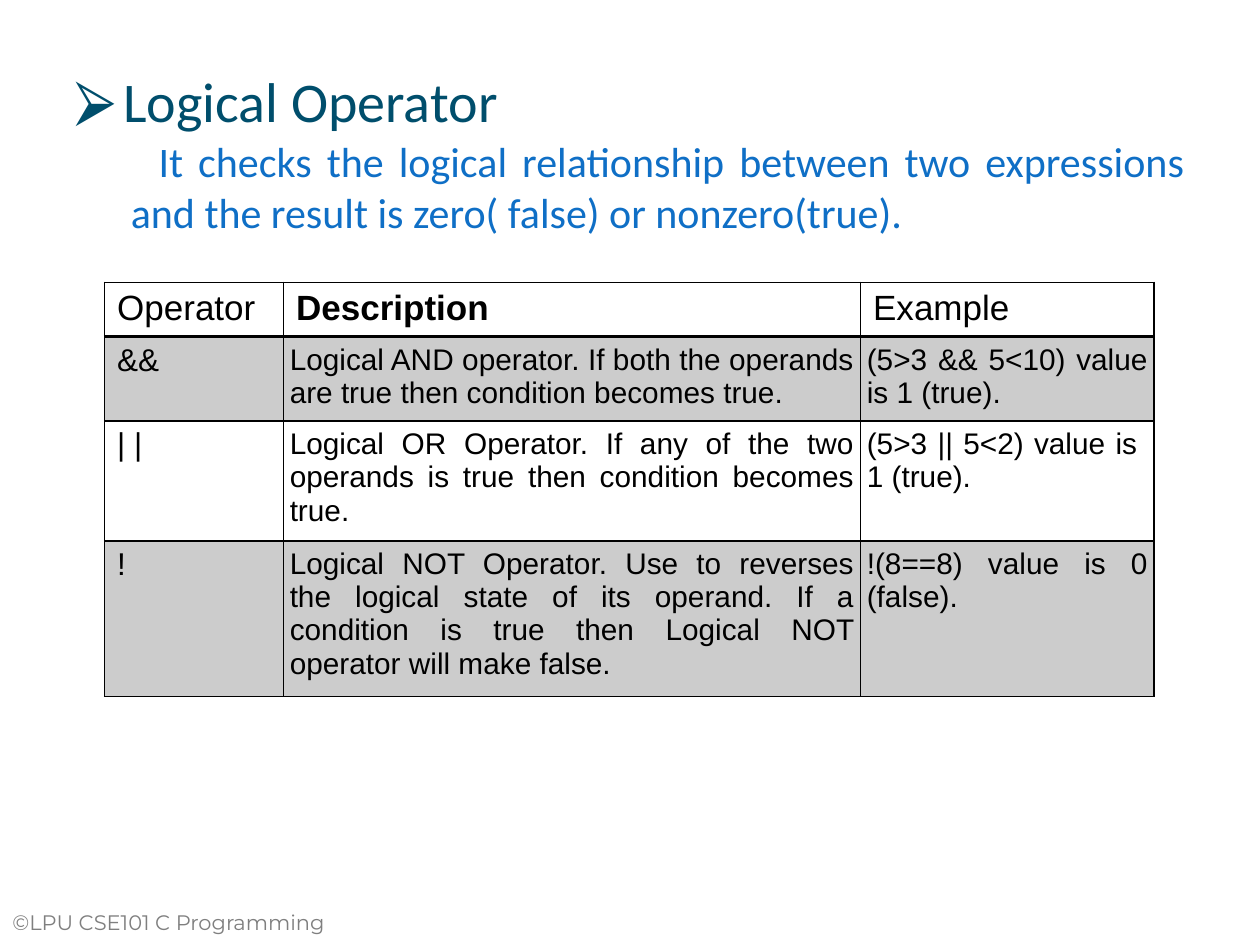
"""Build the slide on logical operators in C with its table of operators."""
from lxml.etree import SubElement
from pptx import Presentation
from pptx.dml.color import RGBColor
from pptx.enum.text import MSO_ANCHOR, MSO_AUTO_SIZE, PP_ALIGN
from pptx.oxml.ns import qn
from pptx.util import Inches, Pt

COLORS = {"title": "004E6C", "body": "0F6FC6", "footer": "7F7F7F", "black": "000000"}


def write(tf, text, size, color="black", font="Arial", bold=False, align=PP_ALIGN.JUSTIFY):
    tf.word_wrap = True
    p = tf.paragraphs[0]
    p.alignment = align
    r = p.add_run()
    r.text = text
    r.font.size = Pt(size)
    r.font.name = font
    r.font.bold = bold
    r.font.color.rgb = RGBColor.from_string(COLORS[color])
    return p


def add_border(cell, side, width):
    ln = SubElement(cell._tc.get_or_add_tcPr(), qn(f"a:ln{side}"), w=str(Pt(width)))
    fill = SubElement(ln, qn("a:solidFill"))
    SubElement(fill, qn("a:srgbClr"), val=COLORS["black"])


prs = Presentation()
prs.slide_width, prs.slide_height = Inches(10), Inches(7.5)
s = prs.slides.add_slide(prs.slide_layouts[5])

footer = s.shapes.add_textbox(Inches(0), Inches(7.17), Inches(3), Inches(0.42))
write(footer.text_frame, "©LPU CSE101 C Programming", 12, "footer", "Montserrat", align=PP_ALIGN.LEFT)

title = s.shapes.title
title.left, title.top, title.width, title.height = Inches(0.5), Inches(0.48), Inches(9), Inches(0.6)
tf = title.text_frame
tf.auto_size = MSO_AUTO_SIZE.NONE
tf.vertical_anchor = MSO_ANCHOR.TOP
p = write(tf, "Logical Operator", 32, "title", "Calibri")
pPr = p._p.get_or_add_pPr()
pPr.set("marL", str(Inches(0.38)))
pPr.set("indent", str(Inches(-0.38)))
SubElement(pPr, qn("a:buFont"), typeface="Arial")
SubElement(pPr, qn("a:buChar"), char="⮚")

body = s.shapes.add_textbox(Inches(0.5), Inches(1.03), Inches(9), Inches(0.92))
p = write(body.text_frame,
          "It checks the logical relationship between two expressions "
          "and the result is zero( false) or nonzero(true).", 24, "body", "Calibri")
pPr = p._p.get_or_add_pPr()
pPr.set("marL", str(Inches(0.44)))
pPr.set("indent", str(Inches(0.22)))

rows = [
    ("Operator", "Description", "Example"),
    ("&&", "Logical AND operator. If both the operands are true then condition becomes true.",
     "(5>3 && 5<10) value is 1 (true)."),
    ("| |", "Logical OR Operator. If any of the two operands is true then condition becomes true.",
     "(5>3 || 5<2) value is  1 (true)."),
    ("!", "Logical NOT Operator. Use to reverses the logical state of its operand. "
     "If a condition is true then Logical NOT operator will make false.",
     "!(8==8) value is 0 (false)."),
]
col_widths = [1.42, 4.58, 2.33]
row_heights = [0.41, 0.63, 0.89, 1.16]
table = s.shapes.add_table(len(rows), len(col_widths), Inches(0.83), Inches(2.24),
                           Inches(sum(col_widths)), Inches(sum(row_heights))).table
table.first_row = table.horz_banding = False
for col, width in zip(table.columns, col_widths):
    col.width = Inches(width)
for i, (texts, height) in enumerate(zip(rows, row_heights)):
    table.rows[i].height = Inches(height)
    for j, text in enumerate(texts):
        cell = table.cell(i, j)
        header = i == 0
        size = 20 if header else 18 if j == 0 else 17
        write(cell.text_frame, text, size, bold=header and j == 1)
        cell.margin_left = cell.margin_right = Inches(0.1 if header or j == 0 else 0.05)
        cell.margin_top = cell.margin_bottom = Inches(0.05)
        for side in "LRTB":
            heavy = (i, side) in ((0, "B"), (1, "T"))
            add_border(cell, side, 2 if heavy else 1)
        if i % 2:
            cell.fill.solid()
            cell.fill.fore_color.rgb = RGBColor.from_string(COLORS["black"])
            rgb = cell._tc.tcPr.find(qn("a:solidFill")).find(qn("a:srgbClr"))
            SubElement(rgb, qn("a:alpha"), val="20000")
        else:
            cell.fill.background()

prs.save("out.pptx")
